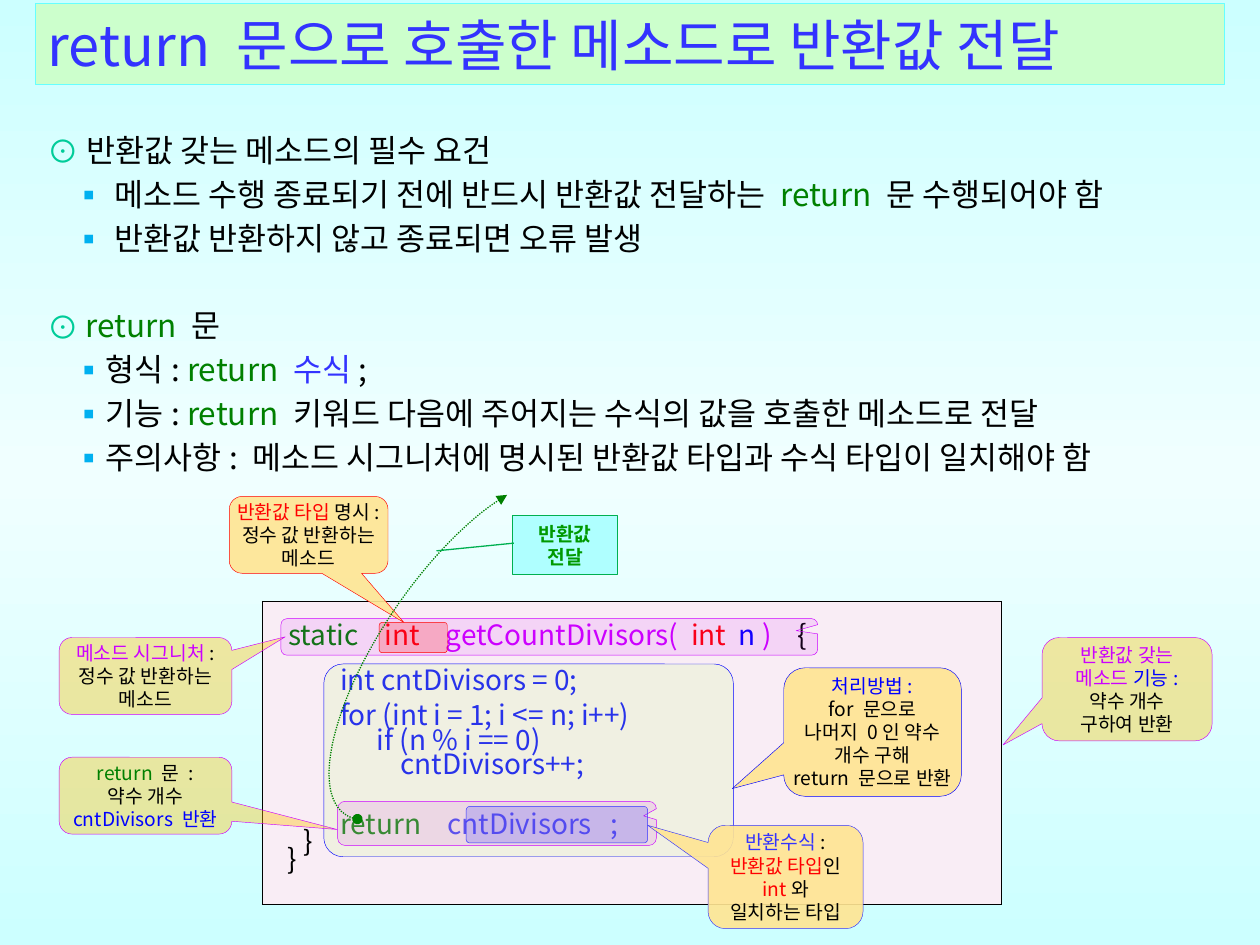
from pptx import Presentation
from pptx.dml.color import RGBColor
from pptx.enum.dml import MSO_LINE
from pptx.enum.shapes import MSO_SHAPE
from pptx.enum.text import MSO_ANCHOR, MSO_AUTO_SIZE, PP_ALIGN
from pptx.oxml.ns import qn
from pptx.oxml.xmlchemy import OxmlElement
from pptx.util import Inches, Pt

FONT = "Noto Sans CJK KR"
LEFT, CENTER = PP_ALIGN.LEFT, PP_ALIGN.CENTER
MIDDLE, NO_FIT = MSO_ANCHOR.MIDDLE, MSO_AUTO_SIZE.NONE
BALLOON = MSO_SHAPE.ROUNDED_RECTANGULAR_CALLOUT
ROUNDED, LINE_CALLOUT = MSO_SHAPE.ROUNDED_RECTANGLE, MSO_SHAPE.LINE_CALLOUT_1
ARC, DOTTED = MSO_SHAPE.ARC, MSO_LINE.ROUND_DOT
COLORS = {
    "black": "000000", "blue": "0000FF", "indigo": "3333FF", "green": "008000",
    "red": "FF0000", "violet": "CC00FF", "teal": "00CC99", "sky": "00B0F0",
    "mint": "CCFFCC", "aqua": "66FFFF", "pale": "CCFFFF", "ice": "F0FFFF",
    "lime": "CCFF99", "sand": "FFE593", "amber": "FFC000", "rose": "F9EDF5",
    "cyan": "AFFFFF", "leaf": "00B050", "grass": "009900",
}


def rgb(name):
    return RGBColor.from_string(COLORS[name])


def add_xml(parent, tag, **attributes):
    child = OxmlElement(tag)
    for key, value in attributes.items():
        child.set(key, str(value))
    parent.append(child)
    return child


def add_text(para, spans, size=11, bold=False, align=LEFT, line=None, before=0):
    """Fill a paragraph with (text, color) spans; a third item is letter spacing in points."""
    para.alignment, para.space_before = align, Pt(before)
    if line:
        para.line_spacing = Pt(line)
    for text, color, *spacing in spans:
        span = para.add_run()
        span.text = text
        span.font.size, span.font.bold, span.font.name = Pt(size), bold, FONT
        span.font.color.rgb = rgb(color)
        add_xml(span.font._element, "a:ea", typeface=FONT)
        if spacing:
            span.font._element.set("spc", str(round(spacing[0] * 100)))


def add_paragraphs(frame, lines, **style):
    for index, spans in enumerate(lines):
        para = frame.add_paragraph() if index else frame.paragraphs[0]
        add_text(para, spans, **style)


def set_indent(para, margin, hanging=0):
    properties = para._p.get_or_add_pPr()
    properties.set("marL", str(Inches(margin)))
    properties.set("indent", str(-Inches(hanging)))
    return properties


class SlideBuilder:
    def __init__(self, deck):
        self.slide = deck.slides.add_slide(deck.slide_layouts[1])

    def background(self, stops):
        fill = self.slide.background.fill
        fill.gradient()
        fill.gradient_angle = 90
        stop_list = next(self.slide._element.iter(qn("a:gsLst")))
        for old in list(stop_list):
            stop_list.remove(old)
        for position, color in stops:
            stop = add_xml(stop_list, "a:gs", pos=position * 1000)
            add_xml(stop, "a:srgbClr", val=COLORS[color])

    def place(self, box, at):
        box.left, box.top, box.width, box.height = map(Inches, at)
        frame = box.text_frame
        frame.word_wrap, frame.auto_size, frame.vertical_anchor = True, NO_FIT, MIDDLE
        return frame

    def title(self, at, text):
        box = self.slide.shapes.title
        frame = self.place(box, at)
        box.fill.solid()
        box.fill.fore_color.rgb = rgb("mint")
        box.line.color.rgb, box.line.width = rgb("aqua"), Pt(0.75)
        add_text(frame.paragraphs[0], [(text, "indigo")], size=32)

    def bullets(self, at, items):
        """Items are (marker, text margin, space before, spans)."""
        frame = self.place(self.slide.placeholders[1], at)
        add_paragraphs(frame, [item[3] for item in items], size=18, line=25)
        for para, (marker, margin, before, _) in zip(frame.paragraphs, items):
            para.space_before = Pt(before)
            top = marker == "⊙"
            para.level = 0 if top else 1
            properties = set_indent(para, margin, margin if top else margin - 0.2)
            color = add_xml(properties, "a:buClr")
            add_xml(color, "a:srgbClr", val=COLORS["teal" if top else "sky"])
            add_xml(properties, "a:buFont", typeface=FONT)
            add_xml(properties, "a:buChar", char=marker)

    def code(self, at, lines):
        """Lines are (margin, line spacing, space before, spans)."""
        table = self.slide.shapes.add_table(1, 1, *map(Inches, at)).table
        table.first_row = table.horz_banding = False
        cell = table.cell(0, 0)
        cell.margin_left, cell.margin_right = Inches(0.2), Inches(0.07)
        cell.margin_top = cell.margin_bottom = Inches(0.02)
        cell.vertical_anchor = MIDDLE
        for side in "LRTB":
            border = add_xml(cell._tc.get_or_add_tcPr(), f"a:ln{side}", w=Pt(0.28))
            add_xml(add_xml(border, "a:solidFill"), "a:srgbClr", val=COLORS["black"])
        cell.fill.solid()
        cell.fill.fore_color.rgb = rgb("rose")
        frame = cell.text_frame
        add_paragraphs(frame, [line[3] for line in lines], size=16)
        for para, (margin, spacing, before, _) in zip(frame.paragraphs, lines):
            para.line_spacing, para.space_before = Pt(spacing), Pt(before)
            set_indent(para, margin)

    def shape(self, kind, at, line, fill=None, opacity=100, adjust=(), width=0.25,
              lines=(), bold=False, inset=0):
        box = self.slide.shapes.add_shape(kind, *map(Inches, at))
        box.shadow.inherit = False
        for index, value in enumerate(adjust):
            box.adjustments[index] = value
        if fill:
            box.fill.solid()
            box.fill.fore_color.rgb = rgb(fill)
            color = box._element.spPr.find(qn("a:solidFill"))[0]
            add_xml(color, "a:alpha", val=opacity * 1000)
        else:
            box.fill.background()
        box.line.color.rgb, box.line.width = rgb(line), Pt(width)
        frame = self.place(box, at)
        frame.margin_left = frame.margin_right = 0
        frame.margin_top = frame.margin_bottom = Inches(inset)
        add_paragraphs(frame, lines, align=CENTER, bold=bold)
        return box

    def balloon(self, at, line, fill, opacity, tip, lines=()):
        self.shape(BALLOON, at, line, fill, opacity, (*tip, 0.167), lines=lines)

    def highlight(self, at, color, fill=None):
        self.shape(ROUNDED, at, color, fill or color, 20, (0.1,))

    def return_arrow(self, at, rotation, adjust):
        arc = self.shape(ARC, at, "green", adjust=adjust, width=0.75)
        arc.rotation, arc.line.dash_style = rotation, DOTTED
        outline = arc.line._get_or_add_ln()
        add_xml(outline, "a:headEnd", type="oval")
        add_xml(outline, "a:tailEnd", type="triangle")


def main():
    deck = Presentation()
    deck.slide_width, deck.slide_height = Inches(10), Inches(7.5)
    page = SlideBuilder(deck)
    page.background([(0, "pale"), (50, "ice"), (100, "pale")])
    page.title((0.28, 0.03, 9.44, 0.64), "return 문으로 호출한 메소드로 반환값 전달")
    keyword = ("return ", "green")
    page.bullets((0.28, 0.93, 9.27, 2.91), [
        ("⊙", 0.31, 0, [("반환값 갖는 메소드의 필수 요건", "black")]),
        ("▪", 0.53, 0, [("메소드 수행 종료되기 전에 반드시 반환값 전달하는 ", "black"), keyword,
                        ("문 수행되어야 함", "black")]),
        ("▪", 0.53, 0, [("반환값 반환하지 않고 종료되면 오류 발생", "black")]),
        ("⊙", 0.3, 25, [keyword, ("문", "black")]),
        ("▪", 0.46, 0, [("형식: ", "black"), keyword, ("수식", "indigo"), (";", "black")]),
        ("▪", 0.46, 0, [("기능: ", "black"), keyword,
                        ("키워드 다음에 주어지는 수식의 값을 호출한 메소드로 전달", "black")]),
        ("▪", 0.46, 0, [("주의사항: 메소드 시그니처에 명시된 반환값 타입과 수식 타입이 일치해야 함", "black")]),
    ])
    narrow_gap, gap, wide_gap = ((" ", "black", points) for points in (3.6, 7.2, 11.3))
    page.code((2.08, 4.77, 5.87, 2.41), [
        (0.01, 14, 0, [("static", "green"), wide_gap, ("int", "red"), wide_gap,
                       ("getCountDivisors(", "violet"), narrow_gap, ("int", "red"), narrow_gap,
                       ("n ", "blue"), (")", "violet"), wide_gap, ("{", "black")]),
        (0.42, 14, 12, [("int cntDivisors = 0;", "blue")]),
        (0.42, 14, 6, [("for (int i = 1; i <= n; i++)", "blue")]),
        (0.71, 14, 0, [("if (n % i == 0)", "blue")]),
        (0.9, 14, 0, [("cntDivisors++;", "blue")]),
        (0.42, 14, 20, [("return", "green"), wide_gap, ("cntDivisors", "indigo"), gap,
                        (";", "indigo")]),
        (0.13, 10, 0, [("}", "black")]),
        (0, 10, 0, [("}", "black")]),
    ])
    page.highlight((2.57, 5.27, 3.25, 1.53), "blue", "lime")
    page.balloon((6.22, 5.3, 1.41, 1.02), "blue", "sand", 91, (-0.79, 0.44), [
        [("처리방법:", "blue")], [("for 문으로", "black")], [("나머지 0인 약수", "black")],
        [("개수 구해", "black")], [("return 문으로 반환", "black")]])
    page.balloon((2.23, 4.91, 4.26, 0.29), "violet", "violet", 10, (0.46, -0.17))
    page.balloon((8.27, 5.06, 1.35, 0.82), "violet", "amber", 37, (-0.73, 0.54), [
        [("반환값 갖는", "violet")], [("메소드 ", "violet"), ("기능:", "blue")],
        [("약수 개수", "black")], [("구하여 반환", "black")]])
    page.highlight((3.01, 4.94, 0.54, 0.24), "red")
    page.balloon((1.82, 3.94, 1.26, 0.61), "red", "sand", 91, (0.6, 1.14), [
        [("반환값 타입 ", "red"), ("명시:", "black")],
        [("정수 값 반환하는", "black")], [("메소드", "black")]])
    page.balloon((0.47, 5.06, 1.37, 0.61), "violet", "amber", 37, (0.81, -0.51), [
        [("메소드 시그니처", "violet"), (":", "black")], [("정수 값 반환하는 메소드", "black")]])
    page.balloon((2.68, 6.36, 2.53, 0.35), "violet", "violet", 10, (0.46, -0.17))
    page.highlight((3.7, 6.4, 1.44, 0.29), "indigo")
    page.balloon((0.47, 6.01, 1.37, 0.61), "violet", "amber", 37, (1.11, 0.44), [
        [keyword, ("문 :", "black")], [("약수 개수 ", "black"), ("cntDivisors 반환", "blue")]])
    page.balloon((5.62, 6.55, 1.23, 0.82), "indigo", "sand", 91, (-0.89, -0.5), [
        [("반환수식", "indigo"), (":", "black")], [("반환값 타입", "red"), ("인", "black")],
        [("int", "red"), ("와", "black")], [("일치하는 타입", "black")]])
    page.return_arrow((3.04, 3.57, 1.19, 3.17), 214.5, (159.7, 43.88))
    page.shape(LINE_CALLOUT, (4.07, 4.09, 0.83, 0.47), "leaf", "cyan", width=0.75,
               adjust=(0.47, 0.01, 0.6, -0.73), bold=True, inset=0.05,
               lines=[[("반환값", "grass")], [("전달", "grass")]])
    deck.save("out.pptx")


if __name__ == "__main__":
    main()
